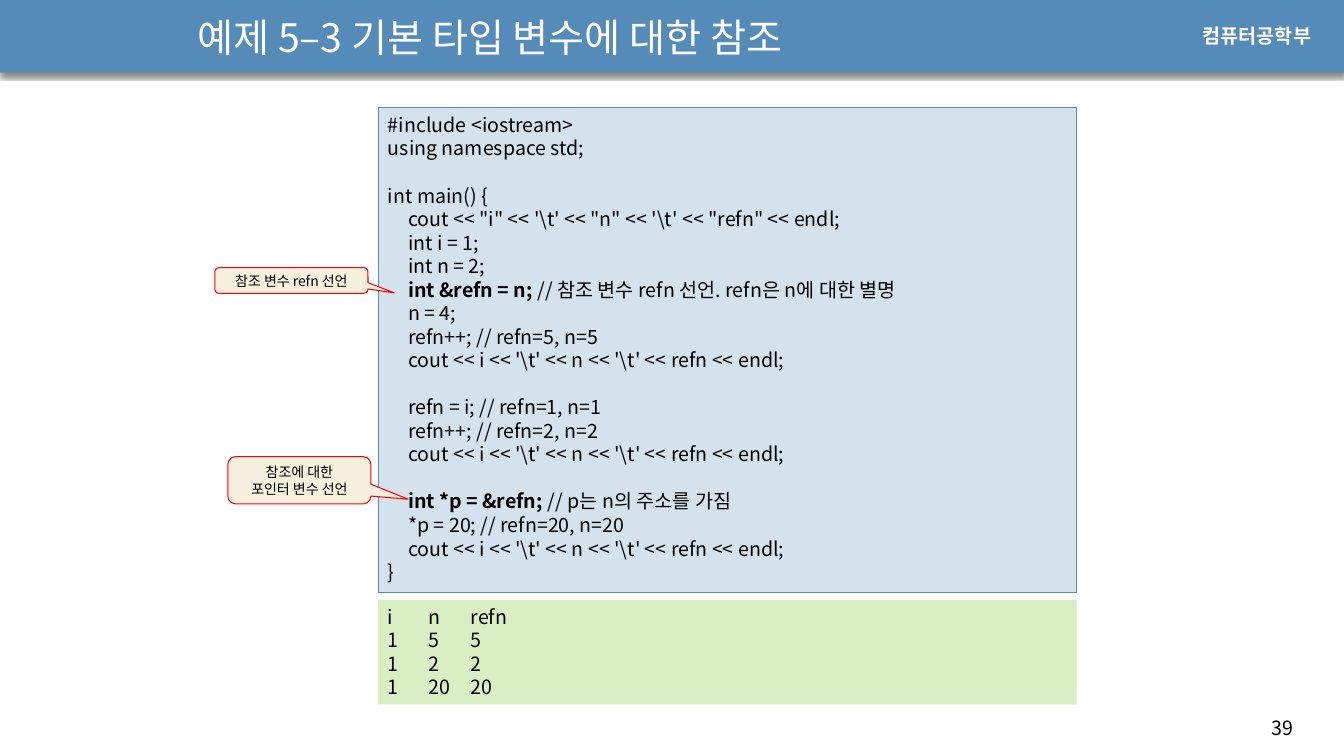
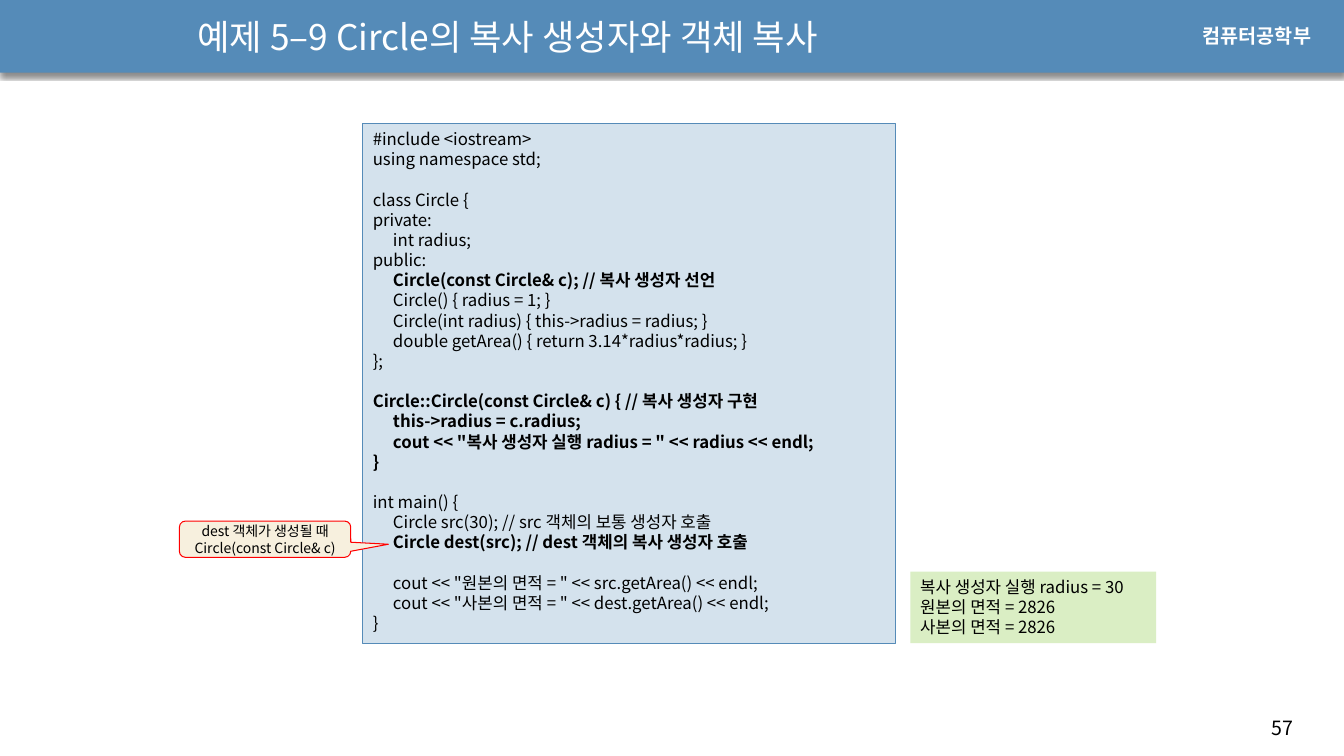
from dataclasses import dataclass

from lxml import etree
from pptx import Presentation
from pptx.dml.color import RGBColor
from pptx.enum.shapes import MSO_SHAPE
from pptx.enum.text import MSO_ANCHOR, PP_ALIGN
from pptx.oxml.ns import qn
from pptx.util import Inches, Pt

RECTANGLE = MSO_SHAPE.RECTANGLE
CALLOUT = MSO_SHAPE.ROUNDED_RECTANGULAR_CALLOUT
TOP, MIDDLE = MSO_ANCHOR.TOP, MSO_ANCHOR.MIDDLE
LEFT, CENTER = PP_ALIGN.LEFT, PP_ALIGN.CENTER
BLANK_LAYOUT = 6
SLIDE_WIDTH, SLIDE_HEIGHT = Inches(13.333), Inches(7.5)
BOLD_MARK = "**"
INDENT = "    "


@dataclass(frozen=True)
class Theme:
    """Colours, fonts and type sizes shared by the slides."""
    blue: str = "558BB8"
    code_fill: str = "D4E2ED"
    output_fill: str = "DAEEC4"
    note_fill: str = "F7F0DE"
    red: str = "FF0000"
    white: str = "FFFFFF"
    black: str = "000000"
    font: str = "Noto Sans CJK KR"
    label_font: str = "Arial"
    title_size: float = 28
    long_title_size: float = 25.2
    body_size: float = 14
    dense_size: float = 12
    note_size: float = 10
    leading: float = 1.2
    code_tabs: tuple = (0.2,)
    output_tabs: tuple = (0.4, 0.82)


THEME = Theme()

REFERENCE_CODE = r"""#include <iostream>
using namespace std;

int main() {
    cout << "i" << '\t' << "n" << '\t' << "refn" << endl;
    int i = 1;
    int n = 2;
    **int &refn = n; **// 참조 변수 refn 선언. refn은 n에 대한 별명
    n = 4;
    refn++; // refn=5, n=5
    cout << i << '\t' << n << '\t' << refn << endl;

    refn = i; // refn=1, n=1
    refn++; // refn=2, n=2
    cout << i << '\t' << n << '\t' << refn << endl;

    **int *p = &refn; **// p는 n의 주소를 가짐
    *p = 20; // refn=20, n=20
    cout << i << '\t' << n << '\t' << refn << endl;
}"""

CIRCLE_CODE = """#include <iostream>
using namespace std;

class Circle {
private:
    int radius;
public:
    **Circle(const Circle& c); // 복사 생성자 선언**
    Circle() { radius = 1; }
    Circle(int radius) { this->radius = radius; }
    double getArea() { return 3.14*radius*radius; }
};

**Circle::Circle(const Circle& c) { // 복사 생성자 구현**
    **this->radius = c.radius;**
    **cout << "복사 생성자 실행 radius = " << radius << endl;**
**}**

int main() {
    Circle src(30); // src 객체의 보통 생성자 호출
    **Circle dest(src); // dest 객체의 복사 생성자 호출**

    cout << "원본의 면적 = " << src.getArea() << endl;
    cout << "사본의 면적 = " << dest.getArea() << endl;
}"""

REFERENCE_OUTPUT = "i\tn\trefn\n1\t5\t5\n1\t2\t2\n1\t20\t20"
CIRCLE_OUTPUT = "복사 생성자 실행 radius = 30\n원본의 면적 = 2826\n사본의 면적 = 2826"


def place(left, top, width, height):
    """Turn percentages of the slide into lengths."""
    return (int(SLIDE_WIDTH * left / 100), int(SLIDE_HEIGHT * top / 100),
            int(SLIDE_WIDTH * width / 100), int(SLIDE_HEIGHT * height / 100))


def add_tab_stops(para, stops):
    """Set left tab stops, in inches."""
    tab_list = etree.SubElement(para._p.get_or_add_pPr(), qn("a:tabLst"))
    for stop in stops:
        etree.SubElement(tab_list, qn("a:tab"), pos=str(Inches(stop)), algn="l")


def style_para(para, size, color, font, bold):
    """Set the type of a whole paragraph."""
    para.line_spacing = Pt(size * THEME.leading)
    para.font.size = Pt(size)
    para.font.name = font
    para.font.color.rgb = RGBColor.from_string(color)
    if bold:
        para.font.bold = True
    defaults = para._p.pPr.find(qn("a:defRPr"))
    etree.SubElement(defaults, qn("a:ea"), typeface=font)


def write(box, text, size, color=THEME.black, font=THEME.font, bold=False,
          align=LEFT, anchor=TOP, tabs=()):
    """Fill a box with lines; an empty line becomes space before the next."""
    frame = box.text_frame
    frame.word_wrap = True
    frame.vertical_anchor = anchor
    para, gap = None, 0
    for line in text.split("\n"):
        if not line:
            gap += size * THEME.leading
            continue
        para = frame.add_paragraph() if para else frame.paragraphs[0]
        para.alignment = align
        if tabs:
            add_tab_stops(para, tabs)
        style_para(para, size, color, font, bold)
        if gap:
            para.space_before = Pt(gap)
            gap = 0
        for index, part in enumerate(line.split(BOLD_MARK)):
            if part:
                span = para.add_run()
                span.text = part
                if index % 2:
                    span.font.bold = True


def add_label(page, area, text, size, **style):
    """Add a plain text box."""
    write(page.shapes.add_textbox(*place(*area)), text, size, **style)


def add_panel(page, kind, area, fill, line=None):
    """Add a filled shape with an optional thin outline."""
    box = page.shapes.add_shape(kind, *place(*area))
    box.shadow.inherit = False
    box.fill.solid()
    box.fill.fore_color.rgb = RGBColor.from_string(fill)
    if line:
        box.line.color.rgb = RGBColor.from_string(line)
        box.line.width = Pt(0.75)
    else:
        box.line.fill.background()
    return box


def add_band_shadow(box):
    """Cast a soft shadow straight down."""
    effects = box._element.spPr.find(qn("a:effectLst"))
    shadow = etree.SubElement(effects, qn("a:outerShdw"), blurRad=str(Pt(3)),
                              dist=str(Pt(2.4)), dir="5400000", rotWithShape="0")
    color = etree.SubElement(shadow, qn("a:srgbClr"), val=THEME.black)
    etree.SubElement(color, qn("a:alpha"), val="45000")


def add_page(deck, title, title_size, number):
    """Add a slide with its band, page number, department and title."""
    page = deck.slides.add_slide(deck.slide_layouts[BLANK_LAYOUT])
    add_band_shadow(add_panel(page, RECTANGLE, (0, -0.13, 100, 9.73), THEME.blue))
    add_label(page, (93.9, 94, 5.33, 4.53), str(number), THEME.body_size)
    add_label(page, (88.73, 2.53, 10.28, 4.53), "컴퓨터공학부", THEME.body_size,
              color=THEME.white, font=THEME.label_font, bold=True)
    add_label(page, (13.95, 0.67, 55.5, 8.4), title, title_size,
              color=THEME.white, anchor=MIDDLE)
    return page


def add_code(page, area, code, size):
    """Add a framed listing."""
    box = add_panel(page, RECTANGLE, area, THEME.code_fill, THEME.blue)
    write(box, code.replace(INDENT, "\t"), size, tabs=THEME.code_tabs)


def add_output(page, area, text, size):
    """Add the printed result of a listing."""
    box = add_panel(page, RECTANGLE, area, THEME.output_fill)
    write(box, text, size, tabs=THEME.output_tabs if "\t" in text else ())


def add_note(page, area, tip, text):
    """Add a callout whose tip is given as shares of its own size."""
    box = add_panel(page, CALLOUT, area, THEME.note_fill, THEME.red)
    box.adjustments[0], box.adjustments[1] = tip
    write(box, text, THEME.note_size, align=CENTER, anchor=MIDDLE)


def add_reference_page(deck):
    """Build the example on references to basic types."""
    page = add_page(deck, "예제 5–3 기본 타입 변수에 대한 참조", THEME.title_size, 39)
    left, width = 28.13, 51.98
    add_code(page, (left, 14.27, width, 64.13), REFERENCE_CODE, THEME.body_size)
    add_output(page, (left, 79.33, width, 13.87), REFERENCE_OUTPUT, THEME.body_size)
    add_note(page, (15.98, 35.4, 11.4, 3.4), (0.67, 0.48), "참조 변수 refn 선언")
    add_note(page, (16.95, 60.4, 10.65, 6.27), (0.76, 0.4),
             "참조에 대한\n포인터 변수 선언")


def add_circle_page(deck):
    """Build the example on the copy constructor."""
    page = add_page(deck, "예제 5–9 Circle의 복사 생성자와 객체 복사",
                    THEME.long_title_size, 57)
    top, height, output_height = 16.4, 68.67, 9.47
    add_code(page, (27, top, 39.6, height), CIRCLE_CODE, THEME.dense_size)
    add_output(page, (67.73, top + height - output_height, 18.3, output_height),
               CIRCLE_OUTPUT, THEME.dense_size)
    add_note(page, (13.35, 68.93, 12.75, 4.8), (0.72, 0.14),
             "dest 객체가 생성될 때 Circle(const Circle& c)")


def main():
    """Build and save the deck."""
    deck = Presentation()
    deck.slide_width, deck.slide_height = SLIDE_WIDTH, SLIDE_HEIGHT
    add_reference_page(deck)
    add_circle_page(deck)
    deck.save("out.pptx")


if __name__ == "__main__":
    main()
